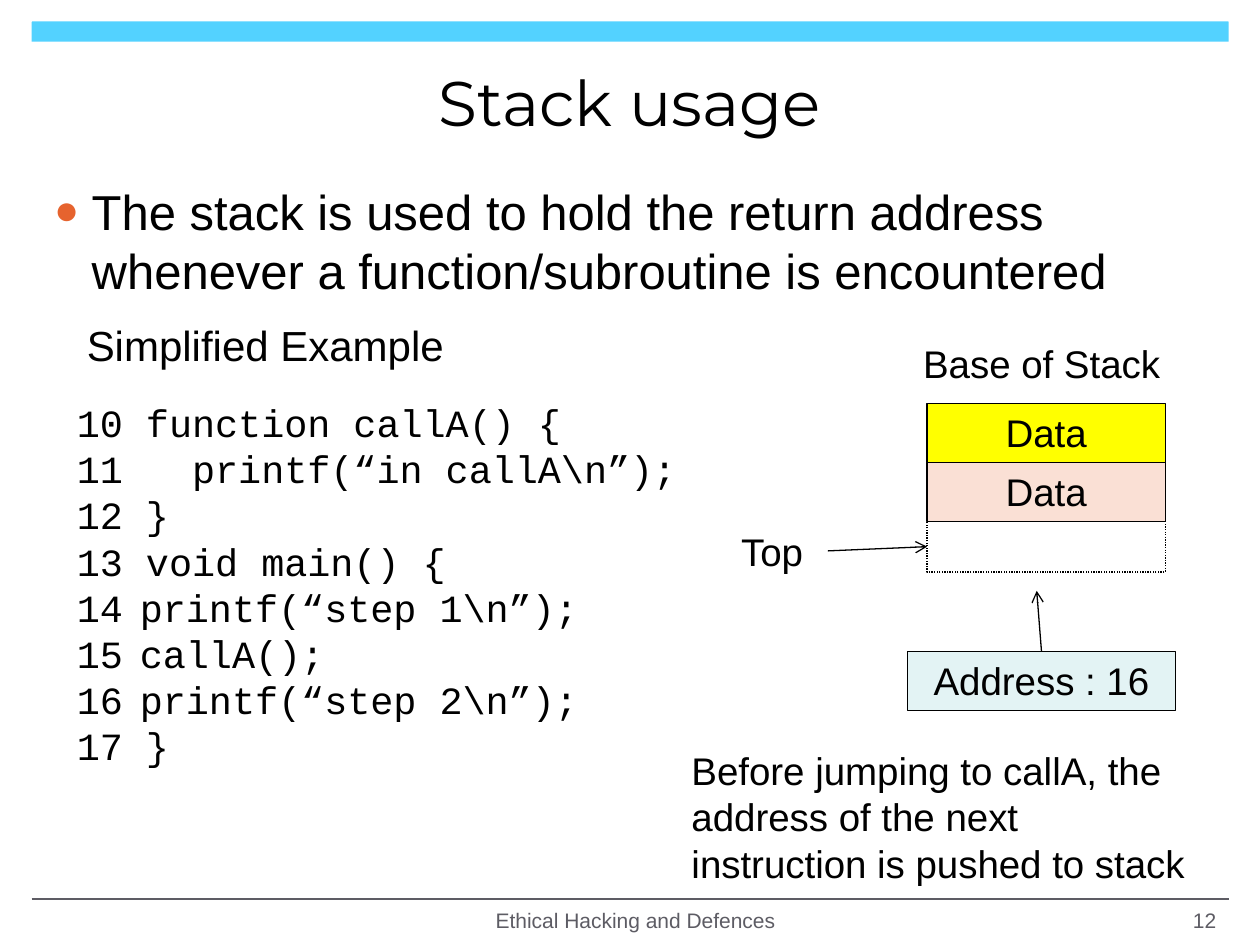
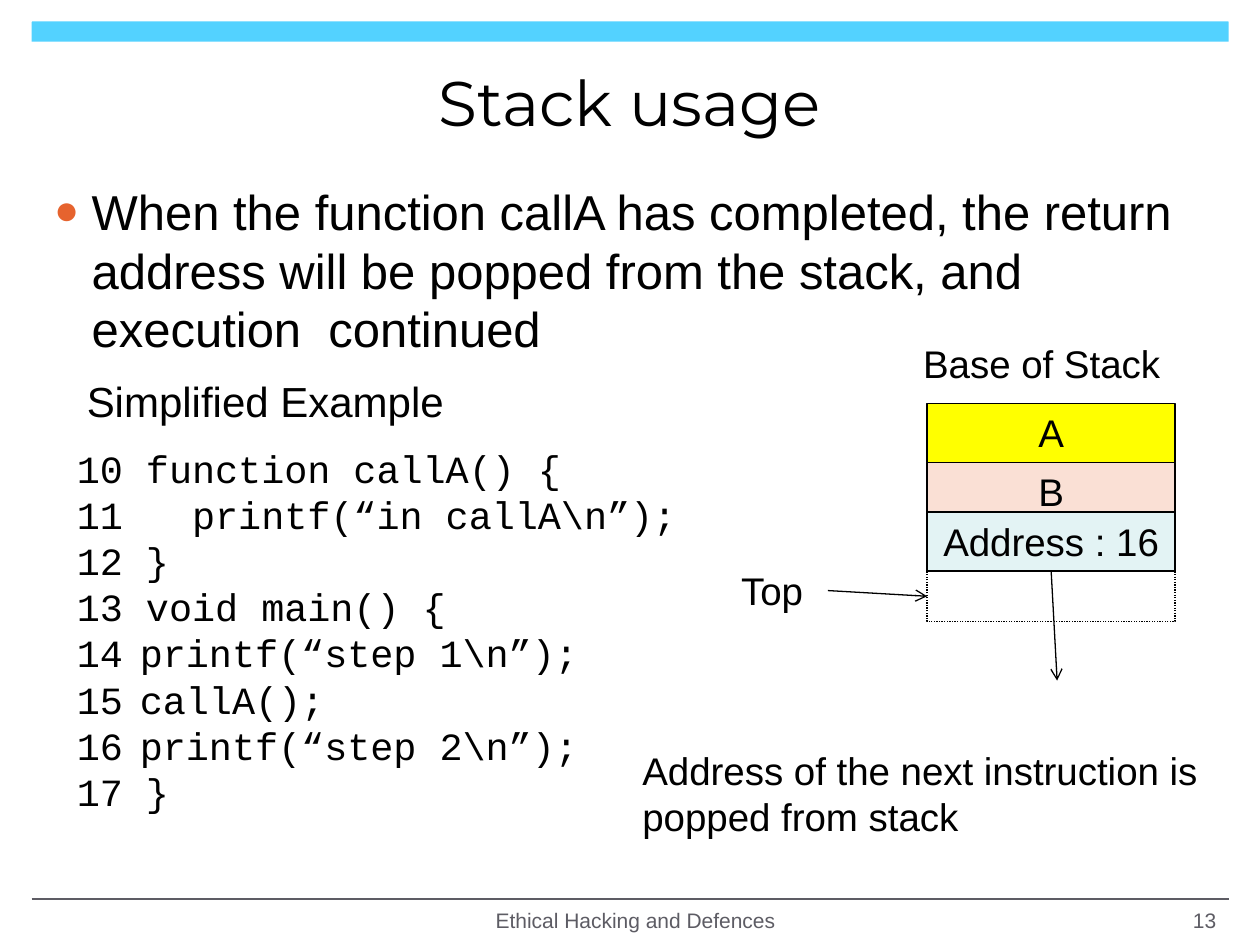
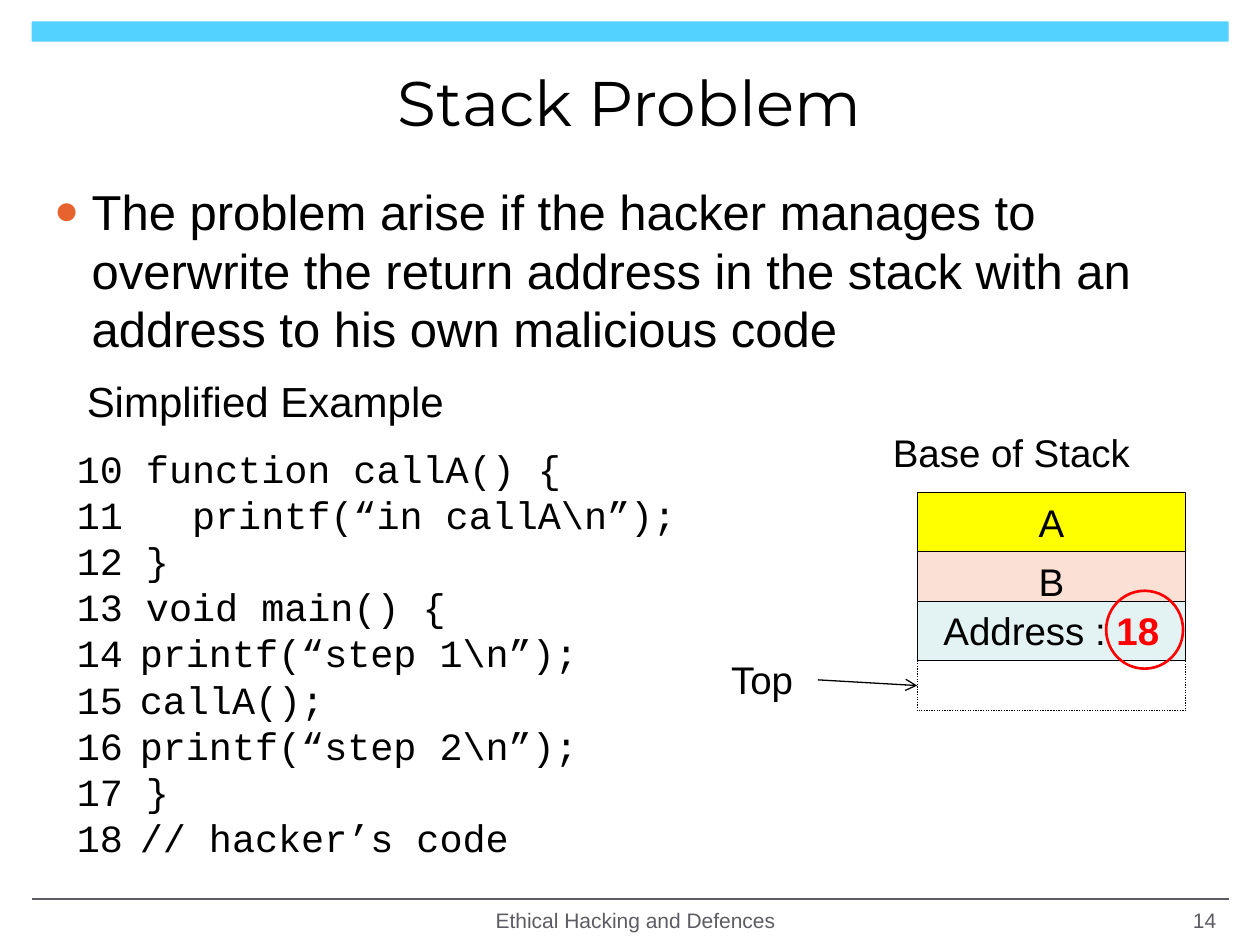
from lxml import etree
from pptx import Presentation
from pptx.dml.color import RGBColor
from pptx.enum.dml import MSO_LINE
from pptx.enum.shapes import MSO_CONNECTOR, MSO_SHAPE as SHAPE
from pptx.enum.text import MSO_ANCHOR as ANCHOR, PP_ALIGN as ALIGN
from pptx.oxml.ns import qn
from pptx.util import Cm, Pt

BLACK = RGBColor(0x00, 0x00, 0x00)
GREY = RGBColor(0x5D, 0x5C, 0x64)
SKY = RGBColor(0x53, 0xD2, 0xFF)
YELLOW = RGBColor(0xFF, 0xFF, 0x00)
PEACH = RGBColor(0xFA, 0xE0, 0xD5)
AQUA = RGBColor(0xE3, 0xF3, 0xF4)
RED = RGBColor(0xFF, 0x00, 0x00)

ROW_H, SLOT_H = 1.19, 1.02   # stack row and free slot, in cm
FOOTER = "Ethical Hacking and Defences"
CODE = """10 function callA() {
11   printf(“in callA\\n”);
12 }
13 void main() {
14\tprintf(“step 1\\n”);
15\tcallA();
16\tprintf(“step 2\\n”);
17 }"""

SLIDES = [
    {"title": "Stack usage",
     "point": "The stack is used to hold the return address whenever "
              "a function/subroutine is encountered",
     "example_y": 6.32, "code_y": 7.92, "code": CODE,
     "stack": (18.69, 8.13, 4.8), "base_x": 18.36, "rows": ["Data", "Data"],
     "address": (18.29, 13.13, 5.41), "number": "16",
     "move": (0, 20.9, 11.91),
     "caption": (13.69, 14.94, 10.8, 3.07),
     "caption_text": "Before jumping to callA, the address of the next "
                     "instruction is pushed to stack"},
    {"title": "Stack usage",
     "point": "When the function callA has completed, the return address "
              "will be popped from the stack, and execution  continued",
     "example_y": 7.44, "code_y": 8.84, "code": CODE,
     "stack": (18.69, 8.13, 5.0), "base_x": 18.36, "rows": ["A", "B"],
     "address": (18.69, 10.32, 5.0), "number": "16",
     "move": (2, 21.31, 13.72),
     "caption": (12.7, 14.94, 11.81, 2.13),
     "caption_text": "Address of the next instruction is popped from stack"},
    {"title": "Stack Problem",
     "point": "The problem arise if the hacker manages to overwrite the "
              "return address in the stack with an address to his own "
              "malicious code",
     "example_y": 7.44, "code_y": 8.84,
     "code": CODE + "\n18\t// hacker’s code",
     "stack": (18.49, 9.93, 5.41), "base_x": 17.75, "rows": ["A", "B"],
     "address": (18.49, 12.12, 5.41), "number": "18",
     "circle": (22.3, 11.91, 1.55, 1.57)},
]


def add_box(s, place, text="", size=22, font="Arial", color=BLACK,
            align=ALIGN.LEFT, anchor=ANCHOR.TOP, fill=None, outlined=False):
    """Add a text box, or a rectangle when it is outlined."""
    place = [Cm(v) for v in place]
    if outlined:
        sp = s.shapes.add_shape(SHAPE.RECTANGLE, *place)
        sp.shadow.inherit = False
        sp.line.color.rgb = BLACK
        sp.line.width = Pt(0.75)
        sp.fill.background()
    else:
        sp = s.shapes.add_textbox(*place)
    if fill:
        sp.fill.solid()
        sp.fill.fore_color.rgb = fill
    tf = sp.text_frame
    tf.word_wrap = True
    tf.vertical_anchor = anchor
    tf.text = text
    for p in tf.paragraphs:
        p.alignment = align
        p.line_spacing = Pt(round(size * 1.2, 1))
        for r in p.runs:
            for name, value in {"size": Pt(size), "name": font}.items():
                setattr(r.font, name, value)
            r.font.color.rgb = color
    return sp


def add_line(s, x1, y1, x2, y2, color=BLACK, width=0.75, arrow=True):
    """Add a straight line, with an open arrowhead at its end if wanted."""
    cx = s.shapes.add_connector(MSO_CONNECTOR.STRAIGHT,
                                Cm(x1), Cm(y1), Cm(x2), Cm(y2))
    cx.line.color.rgb = color
    cx.line.width = Pt(width)
    if arrow:
        etree.SubElement(cx.line._get_or_add_ln(), qn("a:tailEnd"), type="arrow")
    etree.SubElement(cx._element.spPr, qn("a:effectLst"))
    return cx


prs = Presentation()
prs.slide_width, prs.slide_height = Cm(25.4), Cm(19.05)

for page, d in enumerate(SLIDES, start=12):
    s = prs.slides.add_slide(prs.slide_layouts[5])

    # Top band and footer
    band = s.shapes.add_shape(SHAPE.ROUND_2_SAME_RECTANGLE,
                              Cm(0.64), Cm(0.43), Cm(24.13), Cm(0.41))
    band.adjustments[0] = 0.05
    band.shadow.inherit = False
    band.fill.solid()
    band.fill.fore_color.rgb = SKY
    band.line.fill.background()
    add_line(s, 0.64, 18.13, 24.77, 18.13, GREY, 1, arrow=False)
    small = {"size": 12, "color": GREY, "anchor": ANCHOR.MIDDLE}
    add_box(s, (8.05, 18.11, 9.53, 0.89), FOOTER, align=ALIGN.CENTER, **small)
    add_box(s, (18.85, 18.11, 5.92, 0.89), str(page), align=ALIGN.RIGHT, **small)

    # Title
    title = s.shapes.title
    title.left, title.top = Cm(0.84), Cm(0.76)
    title.width, title.height = Cm(23.7), Cm(2.57)
    title.text_frame.text = d["title"]
    title.text_frame.vertical_anchor = ANCHOR.MIDDLE
    p = title.text_frame.paragraphs[0]
    p.alignment = ALIGN.CENTER
    font = p.runs[0].font
    for name, value in {"size": Pt(36), "name": "Montserrat"}.items():
        setattr(font, name, value)
    font.color.rgb = BLACK

    # Bullet point
    body = add_box(s, (0.84, 3.53, 23.7, 14.25), d["point"], size=28)
    pPr = body.text_frame.paragraphs[0]._p.get_or_add_pPr()
    pPr.set("marL", str(Cm(0.76)))
    pPr.set("indent", str(-Cm(0.76)))
    bu_color = etree.SubElement(pPr, qn("a:buClr"))
    etree.SubElement(bu_color, qn("a:srgbClr"), val="E6632E")
    etree.SubElement(pPr, qn("a:buSzPct"), val="85000")
    etree.SubElement(pPr, qn("a:buFont"), typeface="Arial")
    etree.SubElement(pPr, qn("a:buChar"), char="●")

    # Code example
    code_h = 0.94 * len(d["code"].splitlines()) + 0.25
    add_box(s, (1.3, d["code_y"], 14.81, code_h), d["code"], font="Courier New")
    add_box(s, (1.5, d["example_y"], 9.4, 1.27), "Simplified Example", size=24)

    # Stack rows
    x, y, w = d["stack"]
    add_box(s, (d["base_x"], y - 1.4, 5.36, ROW_H), "Base of Stack")
    for i, (label, fill) in enumerate(zip(d["rows"], (YELLOW, PEACH))):
        add_box(s, (x, y + i * ROW_H, w, ROW_H), label,
                align=ALIGN.CENTER, fill=fill, outlined=True)

    # Free slot below the last row, marked as the top of the stack
    ax, ay, aw = d["address"]
    on_stack = ax == x
    slot_y = ay + ROW_H if on_stack else y + 2 * ROW_H
    top_y = slot_y - 0.2 if on_stack else slot_y
    slot = add_box(s, (x, slot_y, w, SLOT_H), outlined=True)
    slot.line.dash_style = MSO_LINE.ROUND_DOT
    add_box(s, (x - 4, top_y, 2, ROW_H), "Top")
    pointer = add_line(s, x - 2, top_y + ROW_H / 2, x, slot_y + SLOT_H / 2)
    pointer.end_connect(slot, 1)

    # Return address
    address = add_box(s, (ax, ay, aw, ROW_H), "Address : " + d["number"],
                      align=ALIGN.CENTER, fill=AQUA, outlined=True)
    if "move" in d:
        side, to_x, to_y = d["move"]
        move = add_line(s, ax + aw / 2, ay, to_x, to_y)
        move.begin_connect(address, side)
        add_box(s, d["caption"], d["caption_text"])

    # Overwritten address, circled
    if "circle" in d:
        p = address.text_frame.paragraphs[0]
        p.runs[0].text = "Address : "
        r = p.add_run()
        r.text = d["number"]
        for name, value in {"size": Pt(22), "name": "Arial", "bold": True}.items():
            setattr(r.font, name, value)
        r.font.color.rgb = RED
        circle = s.shapes.add_shape(SHAPE.OVAL, *[Cm(v) for v in d["circle"]])
        circle.shadow.inherit = False
        circle.fill.background()
        circle.line.color.rgb = RED
        circle.line.width = Pt(1.5)

prs.save("out.pptx")
